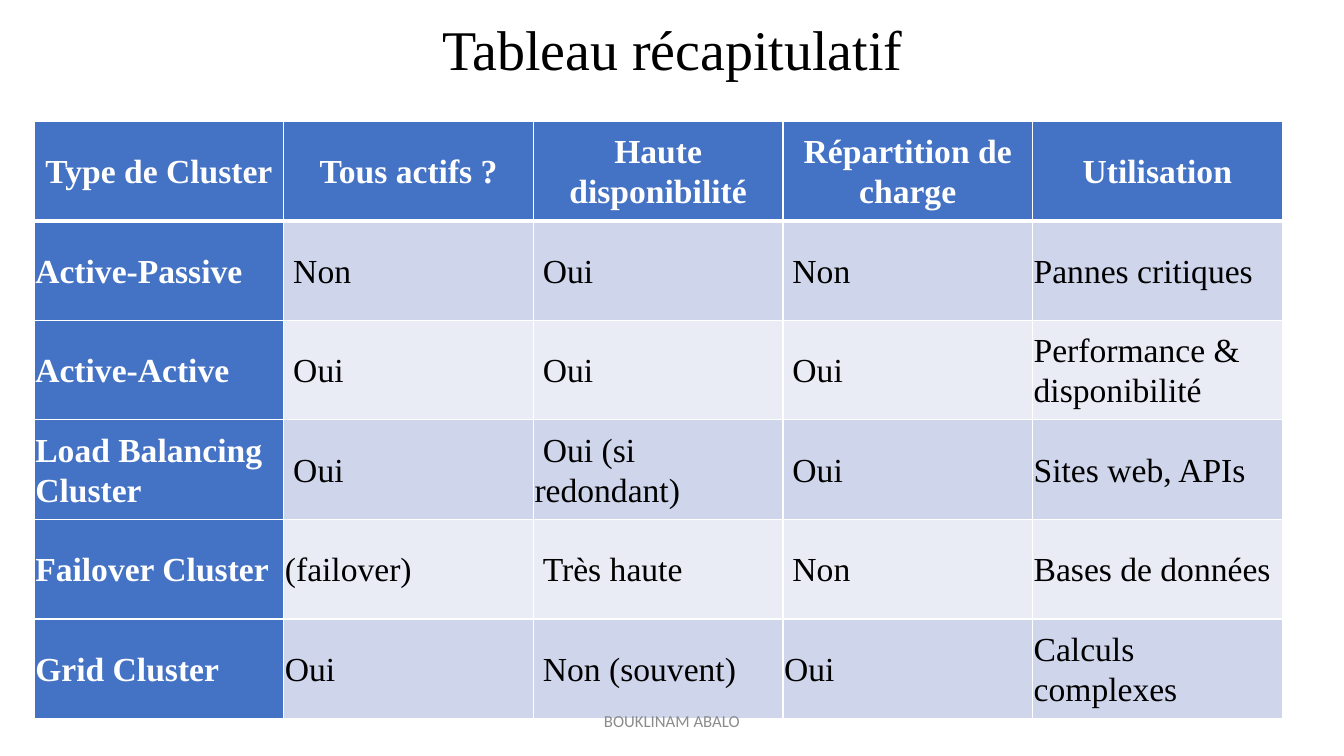
from lxml.etree import SubElement
from pptx import Presentation
from pptx.dml.color import RGBColor
from pptx.enum.text import MSO_ANCHOR, MSO_AUTO_SIZE, PP_ALIGN
from pptx.oxml.ns import qn
from pptx.util import Cm, Pt

BLUE = RGBColor(0x44, 0x72, 0xC4)
BAND_DARK = RGBColor(0xCF, 0xD5, 0xEA)
BAND_LIGHT = RGBColor(0xE9, 0xEB, 0xF5)
WHITE = RGBColor(0xFF, 0xFF, 0xFF)
BLACK = RGBColor(0, 0, 0)
GREY = RGBColor(0x8C, 0x8C, 0x8C)
SERIF = "Times New Roman"

CLUSTERS = [
    ["Type de Cluster", "Tous actifs ?", "Haute disponibilité",
     "Répartition de charge", "Utilisation"],
    ["Active-Passive", "Non", "Oui", "Non", "Pannes critiques"],
    ["Active-Active", "Oui", "Oui", "Oui", "Performance & disponibilité"],
    ["Load Balancing Cluster", "Oui", "Oui (si redondant)", "Oui", "Sites web, APIs"],
    ["Failover Cluster", "(failover)", "Très haute", "Non", "Bases de données"],
    ["Grid Cluster", "Oui", "Non (souvent)", "Oui", "Calculs complexes"],
]
ANSWER_COLUMNS = (1, 2, 3)
FLUSH_ANSWERS = {(4, 1), (5, 1), (5, 3)}


def set_font(paragraph, name, size, color, bold=False):
    font = paragraph.font
    font.name, font.size, font.bold = name, Pt(size), bold
    font.color.rgb = color


def add_title(slide, wording):
    title = slide.shapes.title
    title.left, title.top = Cm(2.34), Cm(0.28)
    title.width, title.height = Cm(29.21), Cm(2.06)
    frame = title.text_frame
    frame.text = wording
    frame.auto_size = MSO_AUTO_SIZE.NONE
    frame.vertical_anchor = MSO_ANCHOR.MIDDLE
    heading = frame.paragraphs[0]
    heading.alignment = PP_ALIGN.CENTER
    heading.line_spacing = 0.9
    set_font(heading, SERIF, 40, BLACK)


def set_borders(cell, top=1, bottom=1):
    """Draw white cell borders; call before the fill, which must follow them."""
    properties = cell._tc.get_or_add_tcPr()
    for side, width in (("L", 1), ("R", 1), ("T", top), ("B", bottom)):
        line = SubElement(properties, qn(f"a:ln{side}"), w=str(Pt(width)))
        fill = SubElement(line, qn("a:solidFill"))
        SubElement(fill, qn("a:srgbClr"), val=str(WHITE))


def fill_cell(cell, row, column, wording):
    is_header = row == 0
    is_label = is_header or column == 0
    set_borders(cell, top=3 if row == 1 else 1, bottom=3 if is_header else 1)
    cell.fill.solid()
    band = BAND_DARK if row % 2 else BAND_LIGHT
    cell.fill.fore_color.rgb = BLUE if is_label else band
    cell.margin_left = cell.margin_right = Cm(0.03)
    cell.margin_top = cell.margin_bottom = Cm(0.03)
    cell.vertical_anchor = MSO_ANCHOR.MIDDLE

    cell.text = wording
    paragraph = cell.text_frame.paragraphs[0]
    paragraph.alignment = PP_ALIGN.CENTER if is_header else PP_ALIGN.LEFT
    paragraph.line_spacing = 1.07
    if not is_header and column in ANSWER_COLUMNS and (row, column) not in FLUSH_ANSWERS:
        paragraph._p.get_or_add_pPr().set("indent", str(Cm(0.21)))
    set_font(paragraph, SERIF, 24, WHITE if is_label else BLACK, is_label)


def add_cluster_table(slide, clusters):
    frame = slide.shapes.add_table(len(clusters), len(clusters[0]),
                                   Cm(0.86), Cm(3.05), Cm(31.45), Cm(15.06))
    table = frame.table
    table.first_col = True
    for row, wordings in enumerate(clusters):
        for column, wording in enumerate(wordings):
            fill_cell(table.cell(row, column), row, column, wording)


def add_footer(slide, author):
    footer = slide.shapes.add_textbox(Cm(11.22), Cm(17.66), Cm(11.43), Cm(1.01))
    frame = footer.text_frame
    frame.word_wrap = True
    frame.vertical_anchor = MSO_ANCHOR.MIDDLE
    frame.text = author
    frame.paragraphs[0].alignment = PP_ALIGN.CENTER
    set_font(frame.paragraphs[0], "Calibri", 12, GREY)


def main():
    presentation = Presentation()
    presentation.slide_width, presentation.slide_height = Cm(33.87), Cm(19.05)
    slide = presentation.slides.add_slide(presentation.slide_layouts[5])
    add_title(slide, "Tableau récapitulatif")
    add_cluster_table(slide, CLUSTERS)
    add_footer(slide, "BOUKLINAM ABALO")
    presentation.save("out.pptx")


if __name__ == "__main__":
    main()
